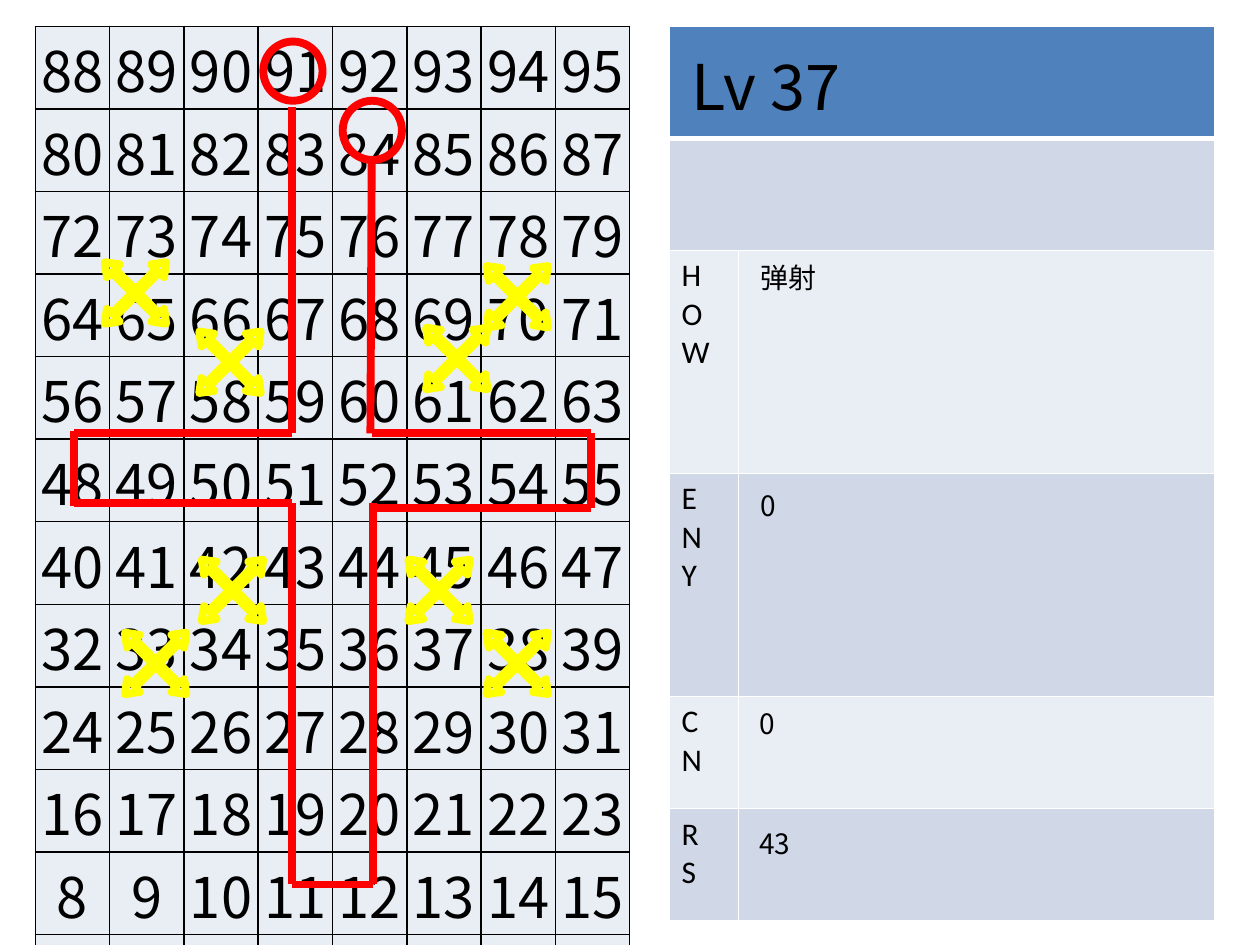
from dataclasses import dataclass

from pptx import Presentation
from pptx.dml.color import RGBColor
from pptx.enum.shapes import MSO_CONNECTOR as Connector, MSO_SHAPE as Preset
from pptx.enum.text import MSO_ANCHOR as Anchor, MSO_AUTO_SIZE as AutoSize, PP_ALIGN as Align
from pptx.oxml import parse_xml
from pptx.oxml.ns import nsdecls
from pptx.util import Inches, Pt


@dataclass(frozen=True)
class Theme:
    black: str = "000000"
    white: str = "FFFFFF"
    header: str = "4F81BD"
    band: str = "D0D8E8"
    pale: str = "E9EDF4"
    route: str = "FF0000"
    bounce: str = "FFFF00"
    sans: str = "Noto Sans CJK SC"
    label_font: str = "Calibri"
    title_size: int = 36
    number_size: int = 32
    label_size: int = 18
    value_size: int = 16
    stroke: float = 4.5


THEME = Theme()
WIDTH, HEIGHT = Inches(10), Inches(7.5)
UNIT = WIDTH / 100  # square grid of 100 columns by 75 rows
BOARD_COLUMNS, BOARD_ROWS, CELL = 8, 12, 5.9


def grid(*steps):
    return [round(step * UNIT) for step in steps]


def write(frame, text, font=THEME.sans, size=THEME.value_size, align=None):
    para = frame.paragraphs[0]
    para.text = text
    para.alignment = align
    for span in para.runs:
        span.font.name = font
        span.font.size = Pt(size)
        span.font.color.rgb = RGBColor.from_string(THEME.black)
        properties = span.font._element
        properties.append(parse_xml(f'<a:ea {nsdecls("a")} typeface="{font}"/>'))


def paint_cell(cell, fill, border, bottom=1):
    cell.fill.solid()
    cell.fill.fore_color.rgb = RGBColor.from_string(fill)
    properties = cell._tc.get_or_add_tcPr()
    for place, side in enumerate("LRTB"):
        width = Pt(bottom if side == "B" else 1)
        properties.insert(place, parse_xml(
            f'<a:ln{side} {nsdecls("a")} w="{width}"><a:solidFill>'
            f'<a:srgbClr val="{border}"/></a:solidFill></a:ln{side}>'))


def add_grid_table(page, left, top, columns, rows):
    box = page.shapes.add_table(len(rows), len(columns),
                                *grid(left, top, sum(columns), sum(rows)))
    table = box.table
    table.first_row = table.horz_banding = False
    for column, width in zip(table.columns, grid(*columns)):
        column.width = width
    for row, height in zip(table.rows, grid(*rows)):
        row.height = height
    return table


def add_board(page):
    table = add_grid_table(page, 2.8, 2.1, [CELL] * BOARD_COLUMNS, [CELL] * BOARD_ROWS)
    for row in range(BOARD_ROWS):
        for column in range(BOARD_COLUMNS):
            cell = table.cell(row, column)
            cell.margin_left = cell.margin_right = cell.margin_top = Inches(0.01)
            cell.margin_bottom = 0
            cell.vertical_anchor = Anchor.MIDDLE
            number = (BOARD_ROWS - 1 - row) * BOARD_COLUMNS + column
            write(cell.text_frame, str(number), size=THEME.number_size, align=Align.CENTER)
            paint_cell(cell, THEME.pale, THEME.black)


def add_level_sheet(page):
    labels = ["", "", "HOW", "ENY", "CN", "RS"]
    fills = [THEME.header] + [THEME.band, THEME.pale] * 2 + [THEME.band]
    table = add_grid_table(page, 53.1, 2.1, [5.5, 37.8], [8.9, 8.9, 17.7, 17.7, 8.9, 8.9])
    for row, (label, fill) in enumerate(zip(labels, fills)):
        for column in range(2):
            paint_cell(table.cell(row, column), fill, THEME.white, bottom=1 if row else 3)
        if label:
            write(table.cell(row, 0).text_frame, "\v".join(label),
                  font=THEME.label_font, size=THEME.label_size)
        else:
            table.cell(row, 0).merge(table.cell(row, 1))


def add_text(page, text, *place, **style):
    frame = page.shapes.add_textbox(*grid(*place)).text_frame
    frame.word_wrap = False
    frame.auto_size = AutoSize.SHAPE_TO_FIT_TEXT
    write(frame, text, **style)


def add_outline(page, preset, left, top, size, color):
    shape = page.shapes.add_shape(preset, *grid(left, top, size, size))
    shape.shadow.inherit = False
    shape.fill.background()
    shape.line.color.rgb = RGBColor.from_string(color)
    shape.line.width = Pt(THEME.stroke)
    return shape


def add_bounce(page, left, top):
    arrow = add_outline(page, Preset.QUAD_ARROW, left, top, 6.9, THEME.bounce)
    arrow.rotation = 45
    for index, share in enumerate((0.053, 0.103, 0.139)):
        arrow.adjustments[index] = share


def add_route(page, *ends):
    line = page.shapes.add_connector(Connector.STRAIGHT, *grid(*ends))
    line.line.color.rgb = RGBColor.from_string(THEME.route)
    line.line.width = Pt(THEME.stroke)
    line._element.spPr.append(parse_xml(f'<a:effectLst {nsdecls("a")}/>'))


def main():
    deck = Presentation()
    deck.slide_width, deck.slide_height = WIDTH, HEIGHT
    page = deck.slides.add_slide(deck.slide_layouts[6])

    # Number board and level sheet
    add_board(page)
    add_level_sheet(page)

    # Sheet entries
    add_text(page, "Lv 37", 53.9, 3.3, 14.4, 7.1, size=THEME.title_size)
    for text, left, top, width in [("弹射", 59.4, 20.2, 6.5), ("0", 59.4, 38.3, 3.3),
                                   ("0", 59.3, 55.6, 3.3), ("43", 59.3, 65.1, 4.6)]:
        add_text(page, text, left, top, width, 3.7)

    # Start circles
    for left, top in [(27.2, 8), (20.9, 3.3)]:
        add_outline(page, Preset.OVAL, left, top, 4.7, THEME.route)

    # Cross-shaped route
    far_left, left, right, far_right = 5.9, 23.2, 29.5, 46.9
    upper, lower, lower_right, foot = 34.4, 39.9, 40.3, 70.2
    for ends in [
        (left, 8.5, left, upper),
        (far_left, upper, left, upper),
        (far_left, upper - 0.2, far_left, lower + 0.3),
        (far_left, lower, left, lower),
        (left, lower, left, foot),
        (left, foot, right + 0.1, foot),
        (right + 0.1, lower, right + 0.1, foot),
        (right, lower_right, far_right, lower_right),
        (far_right, upper, far_right, lower_right),
        (right, upper, far_right, upper),
        (right, 12.7, right - 0.1, upper),
    ]:
        add_route(page, *ends)

    # Bounce marks
    for place in [(15, 43.4), (31.4, 43.4), (32.8, 25), (14.8, 25.3),
                  (37.6, 49.2), (37.6, 20.1), (7.3, 19.8), (8.9, 49.2)]:
        add_bounce(page, *place)

    deck.save("out.pptx")


if __name__ == "__main__":
    main()
